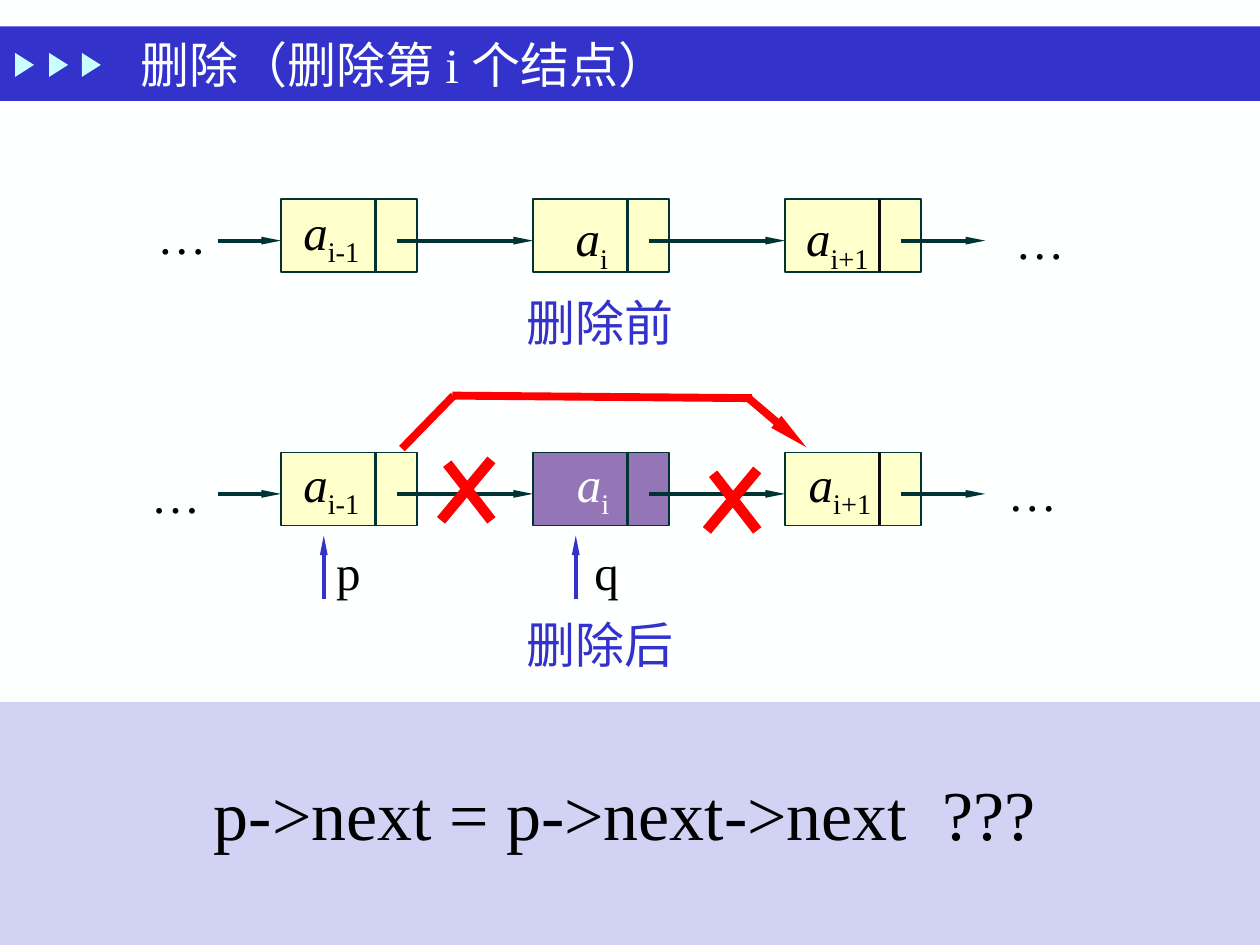
from typing import NamedTuple

from lxml import etree
from pptx import Presentation
from pptx.dml.color import RGBColor
from pptx.enum.shapes import MSO_CONNECTOR, MSO_SHAPE
from pptx.enum.text import MSO_ANCHOR
from pptx.oxml.ns import qn
from pptx.util import Inches, Pt

RECT, TRIANGLE = MSO_SHAPE.RECTANGLE, MSO_SHAPE.ISOSCELES_TRIANGLE
STRAIGHT = MSO_CONNECTOR.STRAIGHT
TOP, MIDDLE = MSO_ANCHOR.TOP, MSO_ANCHOR.MIDDLE

WHITE = RGBColor(0xFE, 0xFF, 0xFF)
BLACK = RGBColor(0x00, 0x00, 0x00)
BLUE = RGBColor(0x33, 0x33, 0xCC)
CYAN = RGBColor(0xCB, 0xFF, 0xFF)
LAVENDER = RGBColor(0xD2, 0xD2, 0xF4)
TEAL = RGBColor(0x00, 0x33, 0x33)
CHARCOAL = RGBColor(0x0D, 0x0D, 0x0D)
CREAM = RGBColor(0xFF, 0xFF, 0xCC)
PURPLE = RGBColor(0x94, 0x76, 0xB6)
RED = RGBColor(0xFF, 0x00, 0x00)

FONT = "Times New Roman"
NODE_X, NODE_STEP = 2.23, 2
NODE_W, NODE_H = 1.08, 0.58
TEXT_H = 0.57


class Label(NamedTuple):
    x: float
    y: float
    w: float
    text: str
    sub: str = ""
    color: RGBColor = BLACK


class ListRow(NamedTuple):
    y: float
    middle_fill: RGBColor


class Line(NamedTuple):
    x1: float
    y1: float
    x2: float
    y2: float
    color: RGBColor = TEAL
    width: float = 2.25
    arrow: bool = False


ROWS = [ListRow(1.58, CREAM), ListRow(3.59, PURPLE)]

LABELS = [
    Label(1.15, 1.58, 0.59, "…"),
    Label(7.96, 1.62, 0.59, "…"),
    Label(1.1, 3.64, 0.59, "…"),
    Label(7.9, 3.62, 0.59, "…"),
    Label(2.31, 1.55, 0.69, "a", "i-1"),
    Label(2.31, 3.55, 0.69, "a", "i-1"),
    Label(4.47, 1.6, 0.47, "a", "i"),
    Label(4.48, 3.55, 0.47, "a", "i", WHITE),
    Label(6.3, 1.6, 0.75, "a", "i+1"),
    Label(6.32, 3.55, 0.75, "a", "i+1"),
    Label(2.57, 4.25, 0.4, "p"),
    Label(4.62, 4.25, 0.4, "q"),
    Label(4.08, 2.27, 1.38, "删除前", color=BLUE),
    Label(4.08, 4.83, 1.38, "删除后", color=BLUE),
]

LINES = [
    Line(2.57, 4.75, 2.57, 4.25, BLUE, arrow=True),
    Line(4.57, 4.75, 4.57, 4.25, BLUE, arrow=True),
    Line(3.19, 3.56, 3.6, 3.14, RED, 4.5),
    Line(5.94, 3.16, 6.4, 3.55, RED, 4.5, True),
    Line(5.97, 3.16, 3.59, 3.14, RED, 4.5),
]

CROSSES = [(3.5, 3.65), (5.61, 3.73)]


def add_box(shapes, kind, x: float, y: float, w: float, h: float,
            fill: RGBColor, outline: RGBColor | None = None):
    sp = shapes.add_shape(kind, Inches(x), Inches(y), Inches(w), Inches(h))
    sp.shadow.inherit = False
    sp.fill.solid()
    sp.fill.fore_color.rgb = fill
    if outline is None:
        sp.line.fill.background()
    else:
        sp.line.color.rgb = outline
        sp.line.width = Pt(0.75)
    return sp


def add_line(shapes, line: Line) -> None:
    cx = shapes.add_connector(STRAIGHT, Inches(line.x1), Inches(line.y1),
                              Inches(line.x2), Inches(line.y2))
    cx.line.color.rgb = line.color
    cx.line.width = Pt(line.width)
    if line.arrow:
        etree.SubElement(cx.line._get_or_add_ln(), qn("a:tailEnd"),
                         type="triangle", w="sm", len="lg")
    etree.SubElement(cx._element.spPr, qn("a:effectLst"))


def add_run(p, text: str, color: RGBColor, size: float = 28):
    r = p.add_run()
    r.text = text
    r.font.name = FONT
    r.font.size = Pt(size)
    r.font.color.rgb = color
    return r


def add_text(shapes, label: Label, size: float = 28, h: float = TEXT_H,
             wrap: bool = False, anchor=TOP) -> None:
    tb = shapes.add_textbox(Inches(label.x), Inches(label.y),
                            Inches(label.w), Inches(h))
    tf = tb.text_frame
    tf.word_wrap = wrap
    tf.vertical_anchor = anchor
    p = tf.paragraphs[0]
    r = add_run(p, label.text, label.color, size)
    if label.sub:
        r.font.italic = True
        r = add_run(p, label.sub, label.color, size)
        r.font._element.set("baseline", "-25000")


def add_list_row(shapes, row: ListRow) -> None:
    link_y = row.y + 0.33
    add_line(shapes, Line(1.73, link_y, NODE_X, link_y, arrow=True))
    fills = [CREAM, row.middle_fill, CREAM]
    for i, fill in enumerate(fills):
        x = NODE_X + i * NODE_STEP
        last = i == len(fills) - 1
        add_box(shapes, RECT, x, row.y, NODE_W, NODE_H, fill, TEAL)
        add_line(shapes, Line(x + 0.75, row.y, x + 0.75, row.y + NODE_H,
                              CHARCOAL if last else TEAL, 1.5))
        end = 7.82 if last else x + NODE_STEP
        add_line(shapes, Line(x + 0.92, link_y, end, link_y, arrow=True))


def add_cross(shapes, x: float, y: float) -> None:
    group = shapes.add_group_shape().shapes
    add_line(group, Line(x + 0.05, y + 0.03, x + 0.4, y + 0.48, RED, 6))
    add_line(group, Line(x + 0.4, y, x, y + 0.48, RED, 6))


def main() -> None:
    prs = Presentation()
    prs.slide_width, prs.slide_height = Inches(10), Inches(7.5)
    s = prs.slides.add_slide(prs.slide_layouts[6])
    s.background.fill.solid()
    s.background.fill.fore_color.rgb = WHITE
    shapes = s.shapes

    add_box(shapes, RECT, 0, 0.21, 10, 0.59, BLUE)
    markers = shapes.add_group_shape().shapes
    for x in (0.1, 0.37, 0.63):
        add_box(markers, TRIANGLE, x, 0.44, 0.19, 0.15, CYAN).rotation = 90
    add_text(shapes, Label(1.02, 0.22, 5.55, "删除（删除第 i 个结点）", color=WHITE),
             wrap=True, anchor=MIDDLE)

    add_box(shapes, RECT, 0, 5.57, 10, 1.93, LAVENDER)
    add_text(shapes, Label(1.6, 6.07, 7.66, "p->next = p->next->next  ???"),
             size=40, h=0.77, wrap=True)

    for row in ROWS:
        add_list_row(shapes, row)
    for label in LABELS:
        add_text(shapes, label)
    for line in LINES:
        add_line(shapes, line)
    for x, y in CROSSES:
        add_cross(shapes, x, y)

    prs.save("out.pptx")


if __name__ == "__main__":
    main()
